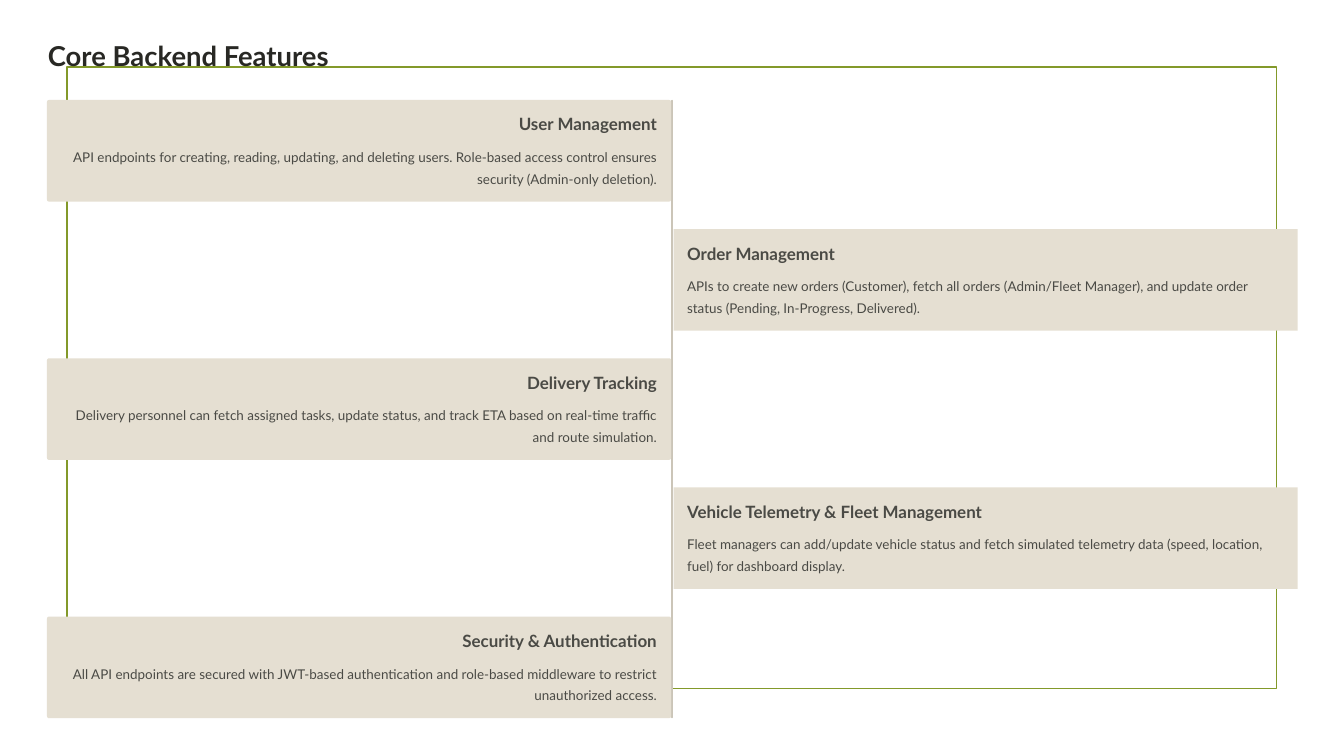
import pptx
import pptx.util
import pptx.dml.color
import pptx.enum.shapes
import pptx.enum.text

Inches, Pt = pptx.util.Inches, pptx.util.Pt
SHAPE = pptx.enum.shapes.MSO_SHAPE
ALIGN = pptx.enum.text.PP_ALIGN

COLORS = {
    "frame": "83992A",
    "title": "282824",
    "text": "4A4A45",
    "card": "E5DFD2",
    "spine": "CBC5B8",
}
WIDE, HIGH = 16, 9
EDGE = 0.8
TOP, PITCH = 1.19, 1.5375
CARD_W, CARD_H = 7.43, 1.21
LEFT, RIGHT = 0.56, 8.02
PAD = 0.16
BODY_W = 7.1

FEATURES = [
    ("User Management", 2.05,
     "API endpoints for creating, reading, updating, and deleting users. "
     "Role-based access control ensures security (Admin-only deletion)."),
    ("Order Management", 2.05,
     "APIs to create new orders (Customer), fetch all orders (Admin/Fleet Manager), "
     "and update order status (Pending, In-Progress, Delivered)."),
    ("Delivery Tracking", 2.05,
     "Delivery personnel can fetch assigned tasks, update status, "
     "and track ETA based on real-time traffic and route simulation."),
    ("Vehicle Telemetry & Fleet Management", 3.6,
     "Fleet managers can add/update vehicle status and fetch simulated telemetry data "
     "(speed, location, fuel) for dashboard display."),
    ("Security & Authentication", 2.38,
     "All API endpoints are secured with JWT-based authentication "
     "and role-based middleware to restrict unauthorized access."),
]


def color(name):
    return pptx.dml.color.RGBColor.from_string(COLORS[name])


def box(slide, kind, area, fill=None, line=None, round=None):
    shape = slide.shapes.add_shape(kind, *map(Inches, area))
    shape.shadow.inherit = False
    if fill:
        shape.fill.solid()
        shape.fill.fore_color.rgb = color(fill)
    else:
        shape.fill.background()
    if line:
        shape.line.color.rgb = color(line)
        shape.line.width = Pt(1.25)
    else:
        shape.line.fill.background()
    if round is not None:
        shape.adjustments[0] = round
    return shape


def style(shape, text, size, lead, tint="text", bold=False, wrap=False, align=ALIGN.LEFT):
    frame = shape.text_frame
    frame.text = text
    frame.word_wrap = wrap
    frame.auto_size = pptx.enum.text.MSO_AUTO_SIZE.NONE
    frame.vertical_anchor = pptx.enum.text.MSO_ANCHOR.TOP
    frame.margin_left = frame.margin_right = 0
    frame.margin_top = frame.margin_bottom = 0
    para = frame.paragraphs[0]
    para.alignment = align
    para.line_spacing = Pt(lead)
    para.space_before = Pt(0)
    font = para.runs[0].font
    font.name = "Lato"
    font.size = Pt(size)
    font.bold = bold
    font.color.rgb = color(tint)


def label(slide, area, text, size, lead, **look):
    style(slide.shapes.add_textbox(*map(Inches, area)), text, size, lead, **look)


def head(slide, text):
    title = slide.shapes.title
    title.left, title.top, title.width, title.height = map(Inches, (0.57, 0.45, 3.39, 0.41))
    style(title, text, 23.5, 29.5, tint="title", bold=True)
    frame = box(slide, SHAPE.RECTANGLE, (EDGE, EDGE, WIDE - 2 * EDGE, HIGH - 2 * EDGE), line="frame")
    title.element.addprevious(frame.element)


def card(slide, row, name, width, text):
    y = TOP + row * PITCH
    if row % 2:
        x, align = RIGHT, ALIGN.LEFT
        box(slide, SHAPE.RECTANGLE, (x, y, CARD_W, CARD_H), fill="card")
        name_x = x + PAD
    else:
        x, align = LEFT, ALIGN.RIGHT
        box(slide, SHAPE.ROUNDED_RECTANGLE, (x, y, CARD_W, CARD_H), fill="card", round=0.02)
        name_x = x + PAD + BODY_W - width
    label(slide, (name_x, y + PAD, width, 0.26), name, 14.5, 18, bold=True, align=align)
    label(slide, (x + PAD, y + 0.52, BODY_W, 0.53), text, 11.5, 18.5, wrap=True, align=align)


def main():
    deck = pptx.Presentation()
    deck.slide_width, deck.slide_height = Inches(WIDE), Inches(HIGH)
    slide = deck.slides.add_slide(deck.slide_layouts[5])
    head(slide, "Core Backend Features")
    tall = (len(FEATURES) - 1) * PITCH + CARD_H
    box(slide, SHAPE.ROUNDED_RECTANGLE, (WIDE / 2 - 0.01, TOP, 0.02, tall), fill="spine", round=0.5)
    for row, feature in enumerate(FEATURES):
        card(slide, row, *feature)
    deck.save("out.pptx")


if __name__ == "__main__":
    main()
